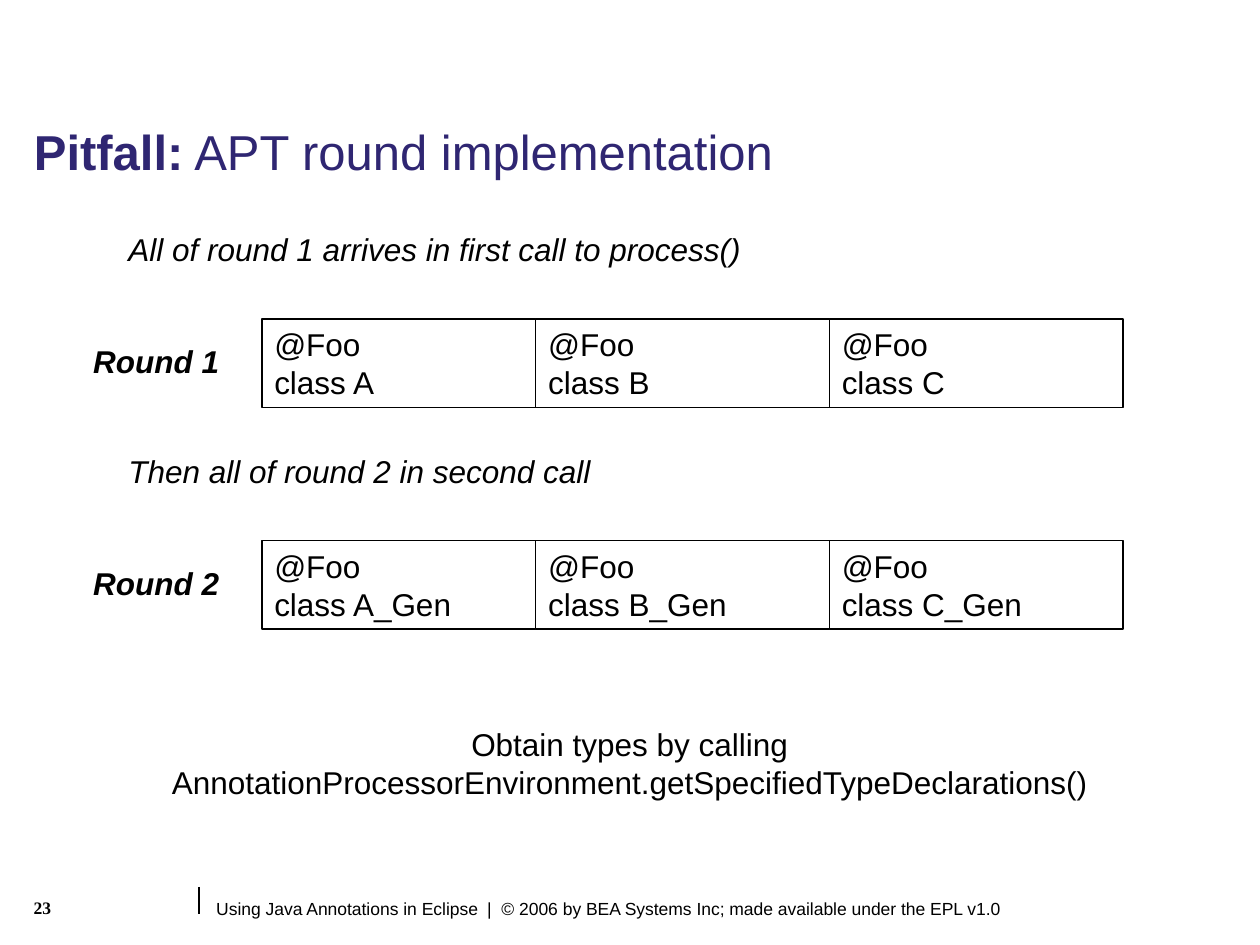
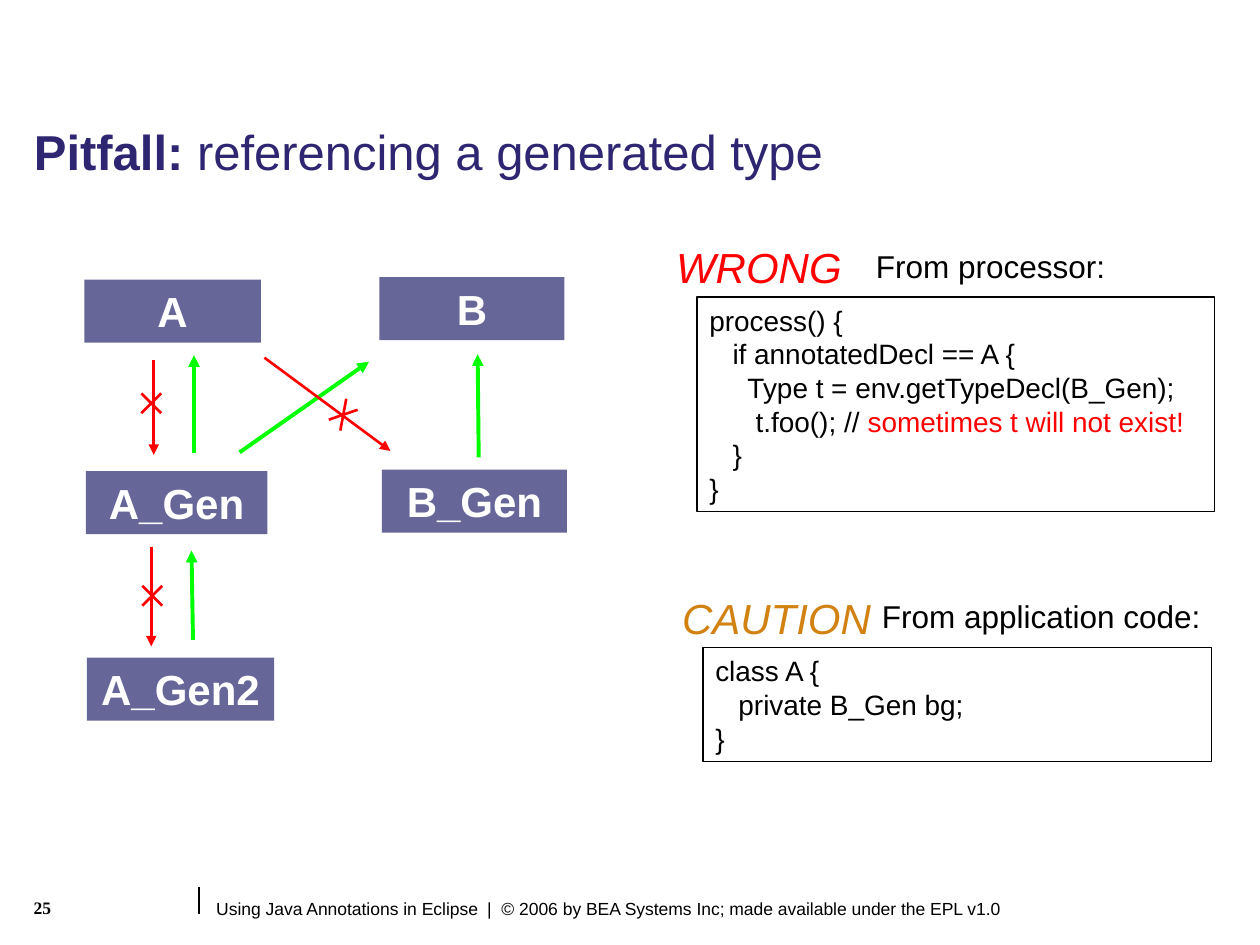
from lxml import etree
from pptx import Presentation
from pptx import util as u
from pptx.dml.color import RGBColor
from pptx.enum import shapes, text
from pptx.oxml import ns

BLACK = RGBColor(0x00, 0x00, 0x00)
WHITE = RGBColor(0xFF, 0xFF, 0xFF)
INDIGO = RGBColor(0x2F, 0x26, 0x72)
SLATE = RGBColor(0x66, 0x66, 0x99)
RED = RGBColor(0xFF, 0x00, 0x00)
GREEN = RGBColor(0x00, 0xFF, 0x00)
AMBER = RGBColor(0xD1, 0x82, 0x13)

FONT = "Arial"
NUMBER_FONT = "Times New Roman"
FOOTER = "Using Java Annotations in Eclipse\t|\t© 2006 by BEA Systems Inc; made available under the EPL v1.0"
FOOTER_TABS = (5.46, 5.75)

PROCESSOR_CODE = [
    ("process() {\n   if annotatedDecl == A {\n     Type t = env.getTypeDecl(B_Gen);\n      t.foo(); // ", BLACK),
    ("sometimes t will not exist!", RED),
    ("\n   }\n}", BLACK),
]
APPLICATION_CODE = [("class A {\n   private B_Gen bg;\n}", BLACK)]

NODE_HEIGHT = 1.27
NODES = [
    ("A", 0, 0.05, 3.56),
    ("B", 5.95, 0, 3.73),
    ("A_Gen", 0.03, 3.91, 3.66),
    ("B_Gen", 6, 3.88, 3.73),
    ("A_Gen2", 0.05, 7.67, 3.78),
]
BLOCKED_ARROWS = [
    (1.4, 1.67, 1.4, 3.58),
    (1.35, 5.43, 1.35, 7.44),
    (3.63, 1.62, 6.17, 3.5),
]
ALLOWED_ARROWS = [
    (2.21, 3.55, 2.21, 1.57),
    (2.19, 7.31, 2.16, 5.51),
    (3.13, 3.53, 5.74, 1.7),
    (7.95, 3.63, 7.93, 1.55),
]
UPRIGHT_CROSS = [(0.2, 0.2), (0.2, -0.2)]
SLANTED_CROSS = [(0.29, -0.1), (0.06, -0.32)]
CROSSES = [
    (1.35, 2.54, UPRIGHT_CROSS),
    (1.37, 6.42, UPRIGHT_CROSS),
    (5.22, 2.77, SLANTED_CROSS),
]


def cm(*lengths):
    return [u.Cm(length) for length in lengths]


def format_paragraph(paragraph, size, color=BLACK, bold=False, italic=False,
                     align=text.PP_ALIGN.LEFT, name=FONT):
    paragraph.alignment = align
    font = paragraph.font
    font.name, font.size, font.bold, font.italic = name, u.Pt(size), bold, italic
    font.color.rgb = color


def write(shape, content, size, **style):
    frame = shape.text_frame
    frame.word_wrap = True
    frame.vertical_anchor = text.MSO_ANCHOR.TOP
    paragraph = frame.paragraphs[0]
    paragraph.text = content
    format_paragraph(paragraph, size, **style)


def add_label(slide, box, content, size, **style):
    label = slide.shapes.add_textbox(*cm(*box))
    write(label, content, size, **style)
    return label


def add_box(slide, box, fill=None):
    shape = slide.shapes.add_shape(shapes.MSO_SHAPE.RECTANGLE, *cm(*box))
    shape.shadow.inherit = False
    if fill is None:
        shape.fill.background()
        shape.line.color.rgb = BLACK
        shape.line.width = u.Pt(0.75)
    else:
        shape.fill.solid()
        shape.fill.fore_color.rgb = fill
        shape.line.fill.background()
    return shape


def add_line(slide, ends, color, width, arrow=False):
    line = slide.shapes.add_connector(shapes.MSO_CONNECTOR.STRAIGHT, *cm(*ends))
    line.line.color.rgb = color
    line.line.width = u.Pt(width)
    if arrow:
        etree.SubElement(line.line._get_or_add_ln(), ns.qn("a:tailEnd"), type="triangle")
    etree.SubElement(line._element.spPr, ns.qn("a:effectLst"))


def add_footer(slide, number):
    add_line(slide, (4.01, 17.88, 4.01, 18.42), BLACK, 0.75)
    footer = slide.shapes.add_textbox(*cm(4.11, 17.98, 21.2, 0.69))
    properties = footer.text_frame.paragraphs[0]._p.get_or_add_pPr()
    tabs = etree.SubElement(properties, ns.qn("a:tabLst"))
    for position in FOOTER_TABS:
        etree.SubElement(tabs, ns.qn("a:tab"), pos=str(u.Cm(position)), algn="l")
    write(footer, FOOTER, 10)
    add_label(slide, (0.43, 17.96, 2.79, 0.89), str(number), 10, bold=True, name=NUMBER_FONT)


def add_pitfall_slide(presentation, topic, number):
    slide = presentation.slides.add_slide(presentation.slide_layouts[5])
    title = slide.shapes.title
    title.left, title.top, title.width, title.height = cm(0.43, 2.41, 22.91, 1.4)
    frame = title.text_frame
    frame.auto_size = text.MSO_AUTO_SIZE.NONE
    frame.vertical_anchor = text.MSO_ANCHOR.MIDDLE
    paragraph = frame.paragraphs[0]
    paragraph.line_spacing = 0.9
    format_paragraph(paragraph, 28, INDIGO)
    lead = paragraph.add_run()
    lead.text = "Pitfall:"
    lead.font.bold = True
    paragraph.add_run().text = f" {topic}"
    add_footer(slide, number)
    return slide


def add_round(slide, left, top, name, caption, suffix=""):
    add_label(slide, (left - 2.94, top - 1.92, 13.2, 1.02), caption, 18, italic=True)
    add_label(slide, (left - 3.65, top + 0.35, 3.05, 1.02), name, 18, bold=True, italic=True)
    for letter, width in zip("ABC", (5.52, 5.92, 5.92)):
        cell = add_box(slide, (left, top, width, 1.78))
        write(cell, f"@Foo\vclass {letter}{suffix}", 18)
        left += width


def add_dependency_graph(slide, left, top):
    def moved(ends):
        x1, y1, x2, y2 = ends
        return left + x1, top + y1, left + x2, top + y2

    for name, x, y, width in NODES:
        node = add_box(slide, (left + x, top + y, width, NODE_HEIGHT), SLATE)
        write(node, name, 24, color=WHITE, bold=True, align=text.PP_ALIGN.CENTER)
    for ends in ALLOWED_ARROWS:
        add_line(slide, moved(ends), GREEN, 2.25, arrow=True)
    for ends in BLOCKED_ARROWS:
        add_line(slide, moved(ends), RED, 1.5, arrow=True)
    for x, y, strokes in CROSSES:
        for dx, dy in strokes:
            add_line(slide, moved((x - dx, y - dy, x + dx, y + dy)), RED, 1.5)


def add_code_panel(slide, box, verdict, color, origin, code):
    left, top = box[:2]
    add_label(slide, (left - 0.67, top - 1.25, 4.6, 1.27), verdict, 24, color=color, italic=True)
    add_label(slide, (left + 3.36, top - 1.14, 7.5, 1.02), origin, 18)
    panel = add_box(slide, box)
    write(panel, "", 16)
    paragraph = panel.text_frame.paragraphs[0]
    for content, run_color in code:
        for index, line in enumerate(content.split("\n")):
            if index:
                paragraph.add_line_break()
            if line:
                run = paragraph.add_run()
                run.text = line
                run.font.size = u.Pt(16)
                run.font.color.rgb = run_color


def build_rounds_slide(presentation):
    slide = add_pitfall_slide(presentation, "APT round implementation", 23)
    add_round(slide, 5.28, 6.43, "Round 1", "All of round 1 arrives in first call to process()")
    add_round(slide, 5.28, 10.9, "Round 2", "Then all of round 2 in second call", "_Gen")
    add_label(slide, (0.91, 14.5, 23.57, 1.78),
              "Obtain types by calling AnnotationProcessorEnvironment.getSpecifiedTypeDeclarations()",
              18, align=text.PP_ALIGN.CENTER)


def build_references_slide(presentation):
    slide = add_pitfall_slide(presentation, "referencing a generated type", 25)
    add_dependency_graph(slide, 1.7, 5.59)
    add_code_panel(slide, (14.05, 5.99, 10.44, 4.32), "WRONG", RED,
                   "From processor:", PROCESSOR_CODE)
    add_code_panel(slide, (14.17, 13.06, 10.26, 2.29), "CAUTION", AMBER,
                   "From application code:", APPLICATION_CODE)


def main():
    presentation = Presentation()
    presentation.slide_width, presentation.slide_height = cm(25.4, 19.05)
    build_rounds_slide(presentation)
    build_references_slide(presentation)
    presentation.save("out.pptx")


if __name__ == "__main__":
    main()
